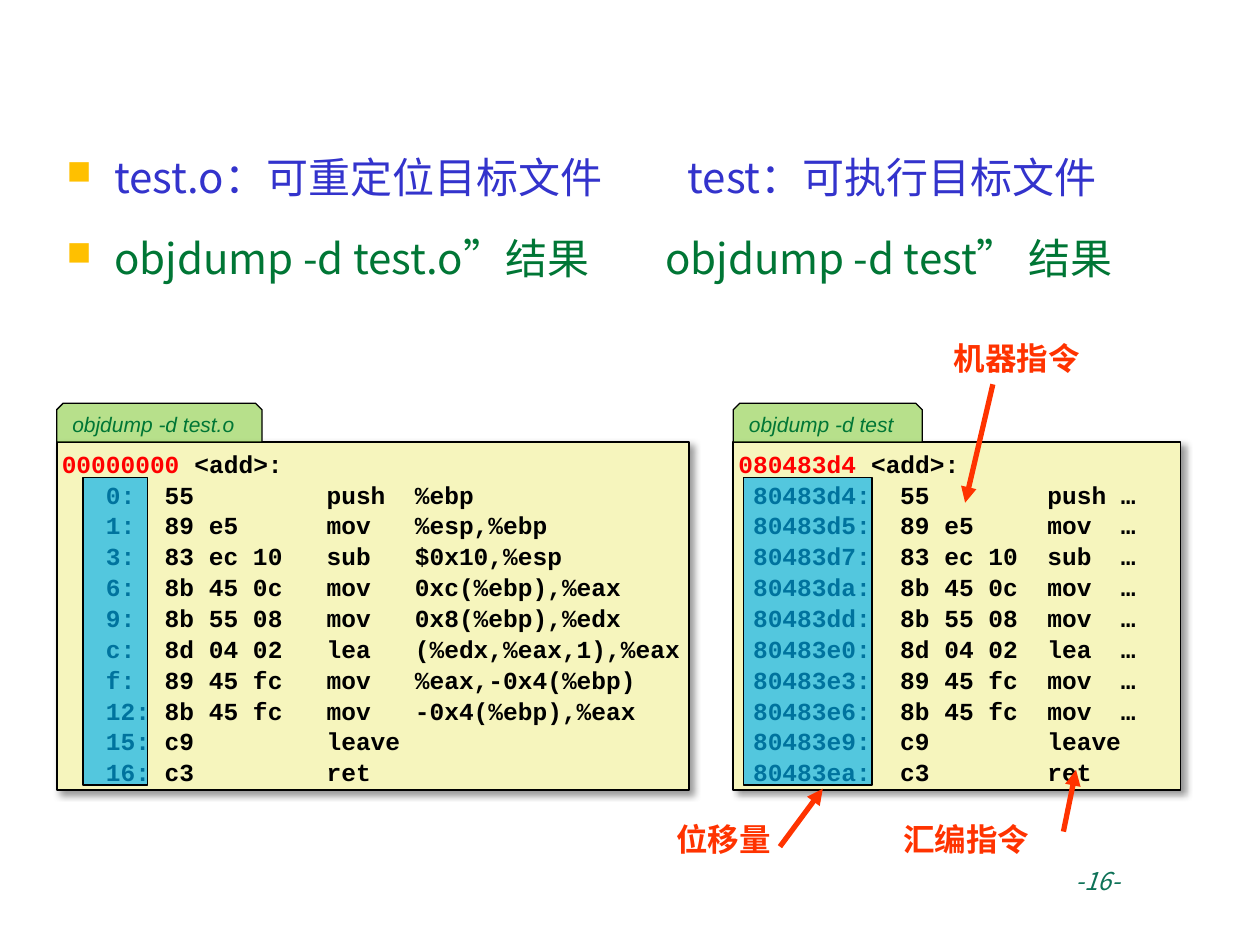
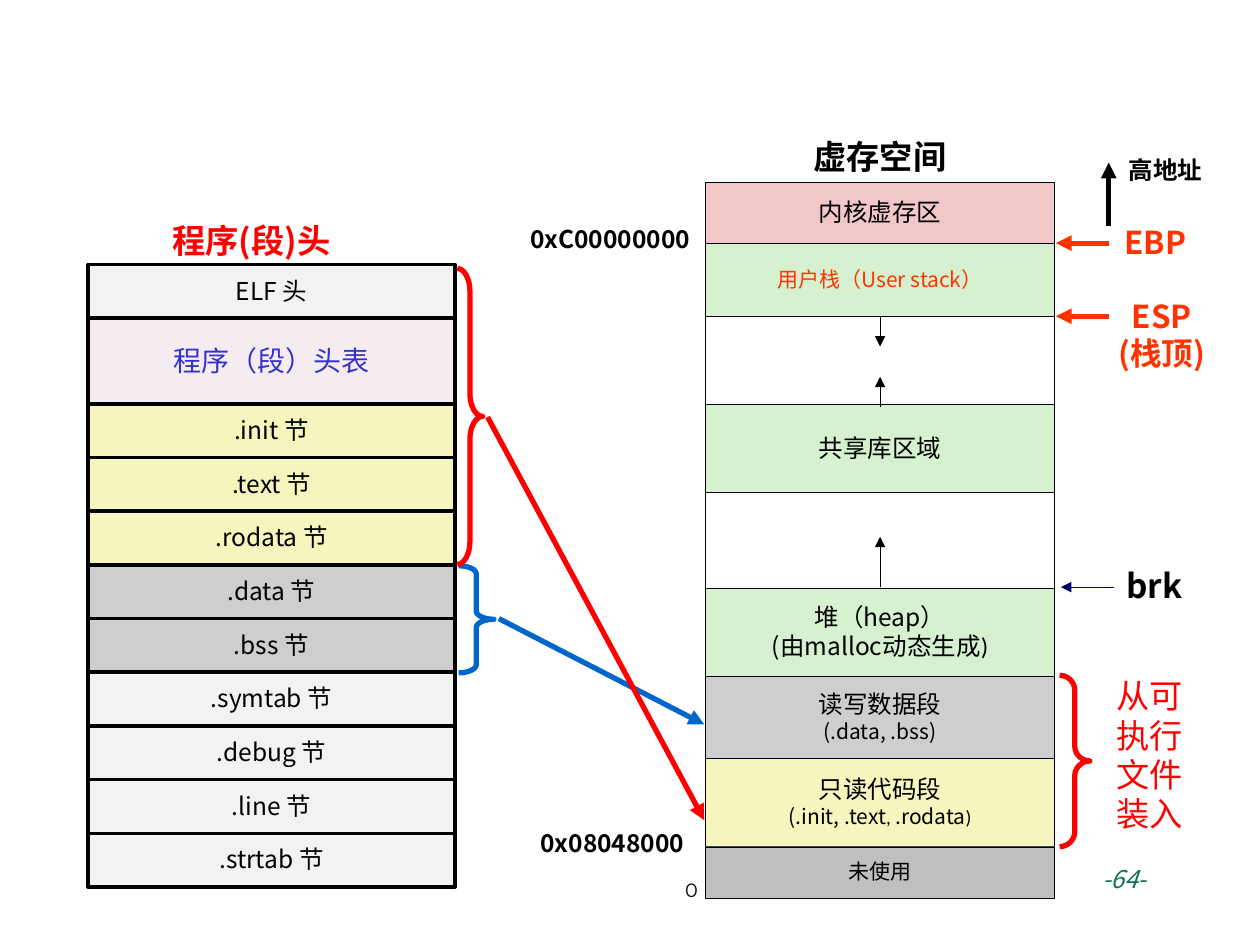
import pptx
import pptx.dml.color
import pptx.enum.shapes
import pptx.enum.text
import pptx.oxml
import pptx.oxml.ns
import pptx.util
from lxml import etree

Inches, Pt = pptx.util.Inches, pptx.util.Pt
RGB = pptx.dml.color.RGBColor
SHAPES = pptx.enum.shapes.MSO_SHAPE
ALIGN = pptx.enum.text.PP_ALIGN
ANCHOR = pptx.enum.text.MSO_ANCHOR
qn = pptx.oxml.ns.qn

BLACK, WHITE = RGB(0, 0, 0), RGB(255, 255, 255)
RED, ORANGE = RGB(0xFF, 0, 0), RGB(0xFF, 0x33, 0)
BLUE, INDIGO, NAVY = RGB(0, 0x66, 0xCC), RGB(0x33, 0x33, 0xCC), RGB(0, 0, 0x66)
GREEN, TEAL = RGB(0, 0x76, 0x35), RGB(0x0D, 0x71, 0x57)
CREAM, LIME, CYAN = RGB(0xF6, 0xF5, 0xBD), RGB(0x92, 0xD0, 0x50), RGB(0, 0xB0, 0xF0)
PINK, MINT, PLUM = RGB(0xF1, 0xC7, 0xC7), RGB(0xD5, 0xF1, 0xCF), RGB(0x99, 0x33, 0x66)
PALE, SILVER, GREY = RGB(0xF2, 0xF2, 0xF2), RGB(0xCE, 0xCE, 0xCE), RGB(0xBF, 0xBF, 0xBF)
AMBER = RGB(0xFF, 0xC0, 0)

SANS, ARIAL, MONO, CALIBRI = "Noto Sans CJK SC", "Arial", "Courier New", "Calibri"

RELOCATABLE = """00000000 <add>:
   0:  55         push  %ebp
   1:  89 e5      mov   %esp,%ebp
   3:  83 ec 10   sub   $0x10,%esp
   6:  8b 45 0c   mov   0xc(%ebp),%eax
   9:  8b 55 08   mov   0x8(%ebp),%edx
   c:  8d 04 02   lea   (%edx,%eax,1),%eax
   f:  89 45 fc   mov   %eax,-0x4(%ebp)
   12: 8b 45 fc   mov   -0x4(%ebp),%eax
   15: c9         leave
   16: c3         ret"""
EXECUTABLE = """080483d4 <add>:
 80483d4:  55        push …
 80483d5:  89 e5     mov  …
 80483d7:  83 ec 10  sub  …
 80483da:  8b 45 0c  mov  …
 80483dd:  8b 55 08  mov  …
 80483e0:  8d 04 02  lea  …
 80483e3:  89 45 fc  mov  …
 80483e6:  8b 45 fc  mov  …
 80483e9:  c9        leave
 80483ea:  c3        ret"""


def style(run, size, color, font=SANS, bold=False, italic=False):
    run.font.size, run.font.name = Pt(size), font
    run.font.color.rgb = color
    run.font.bold, run.font.italic = bold, italic
    east_asian = etree.SubElement(run.font._element, qn("a:ea"))
    east_asian.set("typeface", SANS)


def write(shape, paragraphs, align=ALIGN.LEFT, spacing=1.0, wrap=False,
          anchor=ANCHOR.TOP, insets=(0.1, 0.05)):
    """Fill a shape; each paragraph is a list of (text, *style arguments) runs."""
    frame = shape.text_frame
    frame.word_wrap, frame.vertical_anchor = wrap, anchor
    frame.margin_left = frame.margin_right = Inches(insets[0])
    frame.margin_top = frame.margin_bottom = Inches(insets[1])
    for index, runs in enumerate(paragraphs):
        paragraph = frame.add_paragraph() if index else frame.paragraphs[0]
        paragraph.alignment, paragraph.line_spacing = align, spacing
        for text, *look in runs:
            run = paragraph.add_run()
            run.text = text
            style(run, *look)


def label(slide, left, top, width, height, paragraphs, **layout):
    box = slide.shapes.add_textbox(*map(Inches, (left, top, width, height)))
    write(box, paragraphs, **layout)


def block(slide, left, top, width, height, fill, line=BLACK, weight=0.75,
          kind=SHAPES.RECTANGLE, opacity=None):
    shape = slide.shapes.add_shape(kind, *map(Inches, (left, top, width, height)))
    shape.shadow.inherit = False
    if fill is None:
        shape.fill.background()
    else:
        shape.fill.solid()
        shape.fill.fore_color.rgb = fill
    if opacity:
        color = shape._element.spPr.find(qn("a:solidFill"))[0]
        etree.SubElement(color, qn("a:alpha")).set("val", str(opacity * 1000))
    shape.line.color.rgb, shape.line.width = line, Pt(weight)
    return shape


def brace(slide, left, top, width, height, color, curl):
    shape = block(slide, left, top, width, height, None, color, 3, SHAPES.RIGHT_BRACE)
    shape.adjustments[0] = curl


def arrow(slide, start, end, color, weight=3):
    line = slide.shapes.add_connector(pptx.enum.shapes.MSO_CONNECTOR.STRAIGHT,
                                      *map(Inches, (*start, *end)))
    line.line.color.rgb, line.line.width = color, Pt(weight)
    etree.SubElement(line.line._get_or_add_ln(), qn("a:tailEnd")).set("type", "triangle")
    etree.SubElement(line._element.spPr, qn("a:effectLst"))


def page_number(slide, left, top, number):
    label(slide, left, top, 1.06, 0.52, [[(f"-{number}-", 14, TEAL, SANS, False, True)]])


def drop_shadow(shape):
    effects = shape._element.spPr.find(qn("a:effectLst"))
    effects.append(pptx.oxml.parse_xml(
        '<a:outerShdw xmlns:a="http://schemas.openxmlformats.org/drawingml/2006/main"'
        ' blurRad="50800" dist="38100" dir="2700000" algn="tl" rotWithShape="0">'
        '<a:srgbClr val="000000"><a:alpha val="40000"/></a:srgbClr></a:outerShdw>'))


def listing(slide, left, top, width, tab_width, command, code):
    """Code panel with a folder tab on its upper left."""
    tab_height = 0.31
    panel = block(slide, left, top + tab_height, width, 2.76, CREAM, weight=1)
    drop_shadow(panel)
    header, *lines = code.split("\n")
    address, symbol = header[:8], header[8:]
    plain = (14, BLACK, MONO, True)
    rows = [[(address, 14, RED, MONO, True), (symbol, *plain)]]
    rows += [[(line, *plain)] for line in lines]
    write(panel, rows, spacing=1.05, wrap=True, insets=(0.04, 0.04))
    tab = block(slide, left, top, tab_width, tab_height, LIME,
                kind=SHAPES.SNIP_2_SAME_RECTANGLE, opacity=66)
    write(tab, [[(command, 12, GREEN, ARIAL, False, True)]], anchor=ANCHOR.MIDDLE)


def bullets(slide, left, top, width, height, items):
    """Each item is (text, colour, tab stop)."""
    box = slide.shapes.add_textbox(*map(Inches, (left, top, width, height)))
    write(box, [[(text, 24, color)] for text, color, _ in items], spacing=1.2, wrap=True)
    for index, (paragraph, item) in enumerate(zip(box.text_frame.paragraphs, items)):
        if index:
            paragraph.space_before = Pt(12)
        properties = paragraph._p.get_or_add_pPr()
        properties.set("marL", str(Inches(0.38)))
        properties.set("indent", str(-Inches(0.38)))
        bullet_color = etree.SubElement(properties, qn("a:buClr"))
        etree.SubElement(bullet_color, qn("a:srgbClr")).set("val", str(AMBER))
        etree.SubElement(properties, qn("a:buSzPct")).set("val", "80000")
        etree.SubElement(properties, qn("a:buChar")).set("char", "■")
        tabs = etree.SubElement(properties, qn("a:tabLst"))
        stop = etree.SubElement(tabs, qn("a:tab"))
        stop.set("pos", str(Inches(item[2])))
        stop.set("algn", "l")


def disassembly_slide(slide):
    listing(slide, 5.82, 3.2, 3.55, 1.5, "objdump -d test", EXECUTABLE)
    listing(slide, 0.45, 3.2, 5.02, 1.63, "objdump -d test.o", RELOCATABLE)
    bullets(slide, 0.43, 1.07, 8.99, 5.51, [
        ("test.o：可重定位目标文件\ttest：可执行目标文件", INDIGO, 4.93),
        ("objdump -d test.o”结果\tobjdump -d test” 结果", GREEN, 4.75)])
    page_number(slide, 8.44, 6.82, 16)
    for left, width in ((0.66, 0.51), (5.9, 1.02)):
        block(slide, left, 3.79, width, 2.44, CYAN, opacity=66)
    callouts = [("位移量", 5.27, 6.46, 0.98, (6.19, 6.72), (6.53, 6.26)),
                ("机器指令", 7.47, 2.64, 1.28, (7.88, 3.05), (7.66, 3.99)),
                ("汇编指令", 7.07, 6.46, 1.28, (8.44, 6.6), (8.54, 6.11))]
    for text, left, top, width, start, end in callouts:
        label(slide, left, top, width, 0.4, [[(text, 18, ORANGE, ARIAL, True)]], wrap=True)
        arrow(slide, start, end, ORANGE)


def stack_blocks(slide, left, top, width, rows, weight):
    """Stack (height, fill, opacity, paragraphs) rows downwards."""
    for height, fill, opacity, paragraphs in rows:
        cell = block(slide, left, top, width, height, fill, weight=weight, opacity=opacity)
        write(cell, paragraphs, ALIGN.CENTER, 0.98, anchor=ANCHOR.MIDDLE)
        top += height


def elf_file(slide, left, top):
    label(slide, left + 0.57, top - 0.4, 1.77, 0.42,
          [[("程序(段)头", 19, RED, SANS, True)]], wrap=True)
    table_height, total = 0.68, 4.94
    sections = [("ELF 头", PALE), ("程序（段）头表", PLUM), (".init 节", CREAM),
                (".text 节", CREAM), (".rodata 节", CREAM), (".data 节", SILVER),
                (".bss 节", SILVER), (".symtab 节", PALE), (".debug 节", PALE),
                (".line 节", PALE), (".strtab 节", PALE)]
    step = (total - table_height) / (len(sections) - 1)
    rows = [(table_height, fill, 9, [[(name, 16, INDIGO)]]) if fill == PLUM
            else (step, fill, None, [[(name, 14, BLACK)]]) for name, fill in sections]
    stack_blocks(slide, left, top, 2.91, rows, 2)
    arrow(slide, (left + 3.26, top + 2.81), (left + 4.89, top + 3.65), BLUE)
    brace(slide, left + 2.94, top + 2.39, 0.28, 0.85, BLUE, 0.23)
    arrow(slide, (left + 3.17, top + 1.21), (left + 4.89, top + 4.41), RED)
    brace(slide, left + 2.93, top + 0.03, 0.2, 2.35, RED, 0.92)


def virtual_memory(slide, left, top):
    width = 2.77
    label(slide, left + 0.76, top - 0.42, 1.77, 0.42,
          [[("虚存空间", 19, BLACK, SANS, True)]], wrap=True)
    rows = [
        (0.48, PINK, None, [[("内核虚存区", 14, BLACK)]]),
        (0.58, MINT, None, [[("用户栈（User stack）", 12, ORANGE)]]),
        (0.7, WHITE, None, []),
        (0.7, MINT, None, [[("共享库区域", 14, BLACK)]]),
        (0.76, WHITE, None, []),
        (0.7, MINT, None, [[("堆（heap）", 14, BLACK)],
                           [("(由malloc动态生成", 14, BLACK), (")", 14, BLACK, CALIBRI)]]),
        (0.65, SILVER, None, [[("读写数据段", 14, BLACK)], [("(.data, .bss)", 12, BLACK)]]),
        (0.7, CREAM, None, [[("只读代码段", 14, BLACK)],
                            [("(.init, .text", 12, BLACK), (", ", 11, BLACK, CALIBRI),
                             (".rodata", 12, BLACK), (")", 11, BLACK, CALIBRI)]]),
        (0.41, GREY, None, [[("未使用", 12, BLACK)]])]
    stack_blocks(slide, left, top, width, rows, 0.25)
    middle = left + width / 2
    for start, end in ((3.21, 2.81), (1.78, 1.54), (1.07, 1.3)):
        arrow(slide, (middle, top + start), (middle, top + end), BLACK, 0.25)
    for text, x, y, size, font, bold in (
            ("0xC00000000", -1.49, 0.3, 14, SANS, True),
            ("0x08048000", -1.41, 5.09, 14, SANS, True),
            ("0", -0.26, 5.49, 11, "Montserrat", False)):
        label(slide, left + x, top + y, 0.3 if text == "0" else -x - 0.01, 0.3,
              [[(text, size, BLACK, font, bold)]], spacing=0.94, wrap=text != "0")


def pointers(slide, left, top):
    """Registers, brk and the loaded range, to the right of the address space."""
    arrow(slide, (left + 0.43, top + 0.34), (left + 0.43, top - 0.16), BLACK)
    label(slide, left + 0.49, top - 0.27, 0.92, 0.34,
          [[("高地址", 14, BLACK, SANS, True)]], wrap=True)
    for x, y, lines in ((0.4, 0.29, ["EBP"]), (0.45, 0.88, ["ESP", "(栈顶)"])):
        label(slide, left + x, top + y, 0.8, 0.39 * len(lines),
              [[(line, 18, ORANGE, SANS, True)] for line in lines],
              align=ALIGN.CENTER, spacing=0.96, wrap=True, insets=(0, 0.05))
    for y in (0.48, 1.06):
        arrow(slide, (left + 0.43, top + y), (left + 0.01, top + y), ORANGE)
    label(slide, left + 0.47, top + 3.01, 0.64, 0.4,
          [[("brk", 19, BLACK, SANS, True)]], spacing=0.94)
    arrow(slide, (left + 0.47, top + 3.21), (left + 0.05, top + 3.21), NAVY, 0.25)
    brace(slide, left + 0.04, top + 3.91, 0.24, 1.36, RED, 0.49)
    label(slide, left + 0.39, top + 3.88, 0.82, 1.36,
          [[("从可执行文件装入", 19, RED, CALIBRI)]], spacing=0.98, wrap=True)


def loading_slide(slide):
    page_number(slide, 8.65, 6.81, 64)
    virtual_memory(slide, 5.6, 1.45)
    pointers(slide, 8.37, 1.45)
    elf_file(slide, 0.7, 2.1)


def main():
    deck = pptx.Presentation()
    deck.slide_width, deck.slide_height = Inches(10), Inches(7.5)
    for build in (disassembly_slide, loading_slide):
        build(deck.slides.add_slide(deck.slide_layouts[6]))
    deck.save("out.pptx")


if __name__ == "__main__":
    main()
